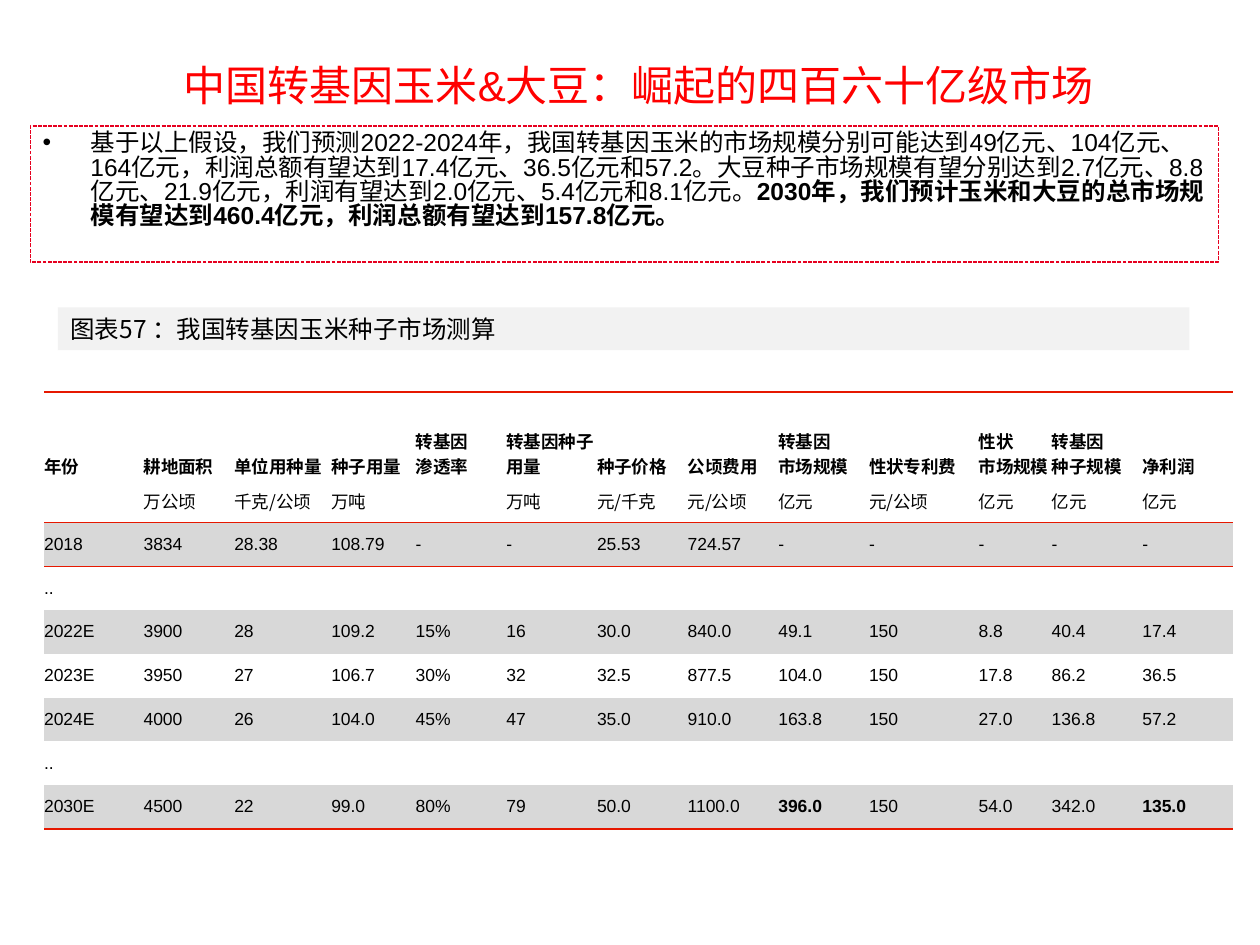
"""Build the slide on China's GM corn and soybean seed market."""
import pptx
import pptx.dml.color
import pptx.enum.dml
import pptx.enum.text
import pptx.oxml.ns
import pptx.util
from lxml import etree
from pptx.util import Inches

COLORS = {"title": "FF0000", "text": "000000", "frame": "E6001F", "caption": "F2F2F2",
          "rule": "E61800", "band": "D8D8D8"}
CJK = "Noto Sans CJK SC"
qn = pptx.oxml.ns.qn
rgb = pptx.dml.color.RGBColor.from_string
anchors = pptx.enum.text.MSO_ANCHOR


def add_text(paragraph, text, size=10, font="Arial", color="text", bold=False):
    run = paragraph.add_run()
    run.text = text
    run.font.size = pptx.util.Pt(size)
    run.font.bold = bold
    run.font.color.rgb = rgb(COLORS[color])
    run.font.name = font
    etree.SubElement(run.font._element, qn("a:ea"), typeface=CJK)


def add_rule(cell, side):
    line = etree.SubElement(cell._tc.get_or_add_tcPr(), qn(f"a:{side}"), w="12700")
    fill = etree.SubElement(line, qn("a:solidFill"))
    etree.SubElement(fill, qn("a:srgbClr"), val=COLORS["rule"])


deck = pptx.Presentation()
deck.slide_width, deck.slide_height = Inches(10), Inches(7.5)
slide = deck.slides.add_slide(deck.slide_layouts[6])

summary = slide.shapes.add_textbox(Inches(0.24), Inches(1), Inches(9.43), Inches(1.08))
summary.line.color.rgb = rgb(COLORS["frame"])
summary.line.width = pptx.util.Pt(0.75)
summary.line.dash_style = pptx.enum.dml.MSO_LINE.SQUARE_DOT
summary.text_frame.word_wrap = True
forecast = summary.text_frame.paragraphs[0]
forecast.line_spacing = 0.83
bullet_format = forecast._p.get_or_add_pPr()
bullet_format.set("marL", str(Inches(0.38)))
bullet_format.set("indent", str(-Inches(0.38)))
etree.SubElement(bullet_format, qn("a:buFont"), typeface="Arial")
etree.SubElement(bullet_format, qn("a:buChar"), char="•")
add_text(forecast, "基于以上假设，我们预测2022-2024年，我国转基因玉米的市场规模分别可能达到49亿元、104亿元、164亿元，"
         "利润总额有望达到17.4亿元、36.5亿元和57.2。大豆种子市场规模有望分别达到2.7亿元、8.8亿元、21.9亿元，"
         "利润有望达到2.0亿元、5.4亿元和8.1亿元。", size=14)
add_text(forecast, "2030年，我们预计玉米和大豆的总市场规模有望达到460.4亿元，利润总额有望达到157.8亿元。",
         size=14, bold=True)

caption = slide.shapes.add_textbox(Inches(0.46), Inches(2.44), Inches(8.98), Inches(0.34))
caption.fill.solid()
caption.fill.fore_color.rgb = rgb(COLORS["caption"])
caption.text_frame.word_wrap = True
caption.text_frame.vertical_anchor = anchors.MIDDLE
add_text(caption.text_frame.paragraphs[0], "图表57 ：我国转基因玉米种子市场测算", size=14, font=CJK)

title = slide.shapes.add_textbox(Inches(0.76), Inches(0.37), Inches(8.62), Inches(0.6))
title.text_frame.word_wrap = True
title.text_frame.vertical_anchor = anchors.MIDDLE
headline = title.text_frame.paragraphs[0]
headline.alignment = pptx.enum.text.PP_ALIGN.CENTER
add_text(headline, "中国转基因玉米&大豆：崛起的四百六十亿级市场", size=24, color="title")

COLUMN_WIDTHS = [0.79, 0.72, 0.77, 0.67, 0.72, 0.72, 0.72, 0.72, 0.72, 0.87, 0.58, 0.72, 0.72]
HEADER_HEIGHT, TABLE_HEIGHT = 0.69, 3.47
ROWS = [
    ["年份", "耕地面积", "单位用种量", "种子用量", "转基因\n渗透率", "转基因种子用量", "种子价格", "公顷费用",
     "转基因\n市场规模", "性状专利费", "性状\n市场规模", "转基因\n种子规模", "净利润"],
    ["", "万公顷", "千克/公顷", "万吨", "", "万吨", "元/千克", "元/公顷", "亿元", "元/公顷", "亿元", "亿元", "亿元"],
    ["2018", "3834", "28.38", "108.79", "-", "-", "25.53", "724.57", "-", "-", "-", "-", "-"],
    [".."] + [""] * 12,
    ["2022E", "3900", "28", "109.2", "15%", "16", "30.0", "840.0", "49.1", "150", "8.8", "40.4", "17.4"],
    ["2023E", "3950", "27", "106.7", "30%", "32", "32.5", "877.5", "104.0", "150", "17.8", "86.2", "36.5"],
    ["2024E", "4000", "26", "104.0", "45%", "47", "35.0", "910.0", "163.8", "150", "27.0", "136.8", "57.2"],
    [".."] + [""] * 12,
    ["2030E", "4500", "22", "99.0", "80%", "79", "50.0", "1100.0", "396.0", "150", "54.0", "342.0", "135.0"],
]
RULES = {0: "lnT", 1: "lnB", 2: "lnT", 8: "lnB"}
HIGHLIGHTS = ("396.0", "135.0")

market = slide.shapes.add_table(len(ROWS), len(COLUMN_WIDTHS), Inches(0.35), Inches(3.11),
                                Inches(9.45), Inches(TABLE_HEIGHT)).table
market.first_row = market.horz_banding = False
market._tbl.tblPr.find(qn("a:tableStyleId")).text = "{2D5ABB26-0587-4C30-8999-92F81FD0307C}"
for column, width in zip(market.columns, COLUMN_WIDTHS):
    column.width = Inches(width)

for row_number, values in enumerate(ROWS):
    is_header = row_number == 0
    row = market.rows[row_number]
    row.height = Inches(HEADER_HEIGHT if is_header else (TABLE_HEIGHT - HEADER_HEIGHT) / (len(ROWS) - 1))
    for cell, value in zip(row.cells, values):
        cell.margin_left = cell.margin_top = cell.margin_bottom = 0
        cell.margin_right = Inches(0.01)
        cell.vertical_anchor = anchors.BOTTOM if is_header else anchors.MIDDLE
        if row_number in RULES:
            add_rule(cell, RULES[row_number])
        if row_number >= 2 and row_number % 2 == 0:
            cell.fill.solid()
            cell.fill.fore_color.rgb = rgb(COLORS["band"])
        else:
            cell.fill.background()
        for line_number, line in enumerate(value.split("\n") if value else []):
            paragraph = cell.text_frame.add_paragraph() if line_number else cell.text_frame.paragraphs[0]
            add_text(paragraph, line, font=CJK if row_number < 2 else "Arial",
                     bold=is_header or value in HIGHLIGHTS)

deck.save("out.pptx")
